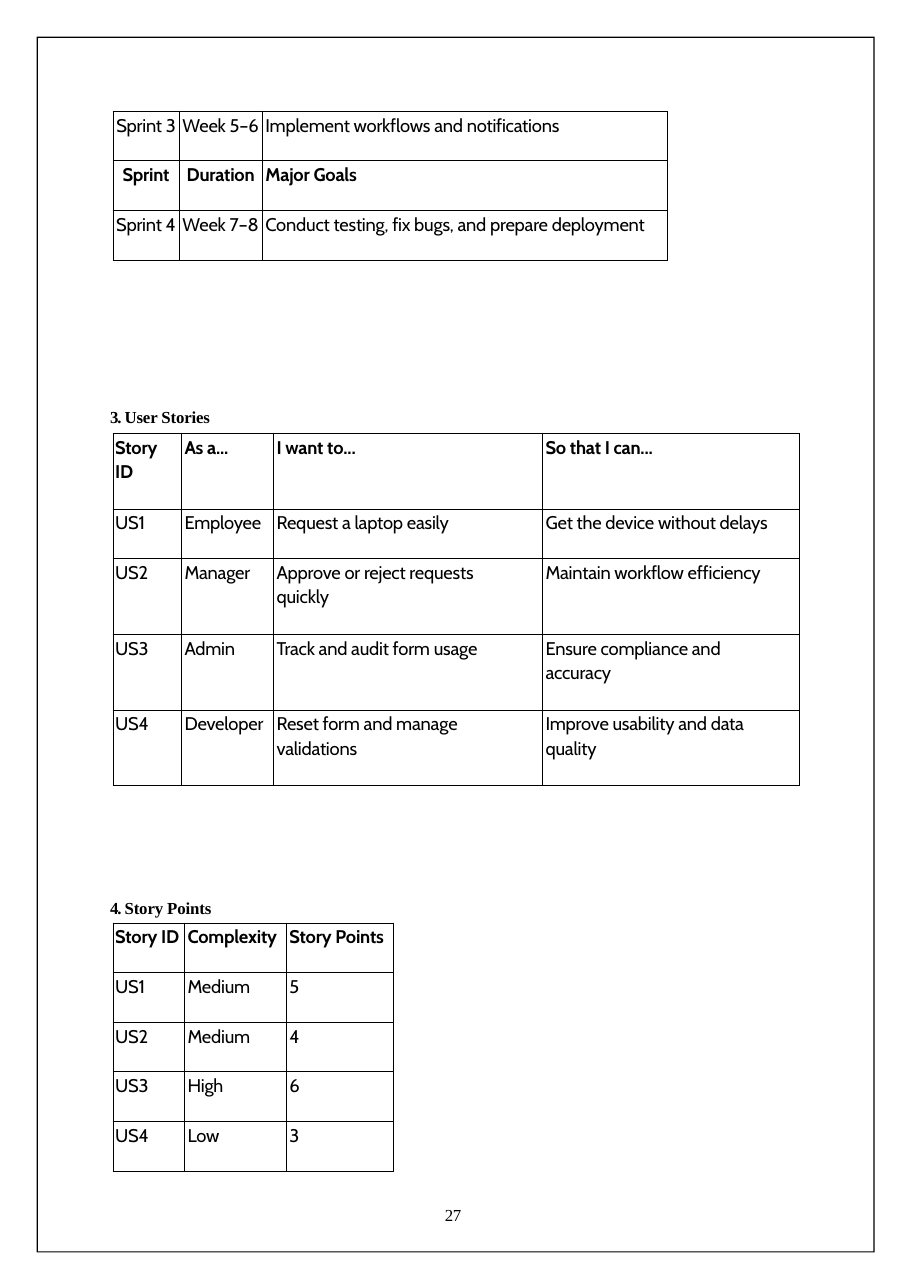
import pptx
import pptx.dml.color
import pptx.enum.text
import pptx.oxml.ns
import pptx.util
import lxml.etree

Pt = pptx.util.Pt
ALIGN = pptx.enum.text.PP_ALIGN

# Content
SPRINTS = [
    ("Sprint 3", "Week 5–6", "Implement workflows and notifications"),
    ("Sprint", "Duration", "Major Goals"),
    ("Sprint 4", "Week 7–8", "Conduct testing, fix bugs, and prepare deployment"),
]
USER_STORIES = [
    ("Story ID", "As a...", "I want to...", "So that I can..."),
    ("US1", "Employee", "Request a laptop easily", "Get the device without delays"),
    ("US2", "Manager", "Approve or reject requests quickly", "Maintain workflow efficiency"),
    ("US3", "Admin", "Track and audit form usage", "Ensure compliance and accuracy"),
    ("US4", "Developer", "Reset form and manage validations",
     "Improve usability and data quality"),
]
STORY_POINTS = [
    ("Story ID", "Complexity", "Story Points"),
    ("US1", "Medium", "5"),
    ("US2", "Medium", "4"),
    ("US3", "High", "6"),
    ("US4", "Low", "3"),
]
HEADINGS = [(("3. ", "User Stories"), 265), (("4. ", "Story Points"), 585.5)]
PAGE_NUMBER = "27"

# Theme and layout, in points
THEME = {
    "ink": pptx.dml.color.RGBColor(0, 0, 0),
    "table_font": "Cabin", "table_size": 12,
    "text_font": "Times New Roman", "text_size": 11,
    "border": 0.5, "frame": 0.75,
}
PAGE = (594.72, 841.68)
FRAME = (24, 24, 571.5, 818.5)
TABLE_LEFT = 73.8
ROW, TALL_ROW = 32.4, 49.5

# Right inset of the cells that run over two lines, by (row, column)
TWO_LINE = {(0, 0): 10, (2, 2): 20, (3, 3): 20, (4, 2): 20, (4, 3): 20}

TABLES = [
    dict(rows=SPRINTS, top=72.7, widths=(43.3, 54.2, 265), header=1, centred=(0, 1)),
    dict(rows=USER_STORIES, top=283.1, widths=(44.6, 60.2, 175.8, 168),
         header=0, two_line=TWO_LINE),
    dict(rows=STORY_POINTS, top=603.2, widths=(46.6, 66.6, 70), header=0),
]


def add_run(p, text, font, size, bold=False, spacing=-0.15):
    r = p.add_run()
    r.text = text
    r.font.name = font
    r.font.size = Pt(size)
    r.font.bold = bold
    r.font.color.rgb = THEME["ink"]
    r.font._element.set("spc", str(round(spacing * 100)))


def add_borders(cell):
    tc_pr = cell._tc.get_or_add_tcPr()
    qn = pptx.oxml.ns.qn
    for i, side in enumerate(("lnL", "lnR", "lnT", "lnB")):
        ln = lxml.etree.Element(qn("a:" + side), w=str(Pt(THEME["border"])))
        fill = lxml.etree.SubElement(ln, qn("a:solidFill"))
        lxml.etree.SubElement(fill, qn("a:srgbClr"), val=str(THEME["ink"]))
        tc_pr.insert(i, ln)


def add_table(s, rows, top, widths, header, centred=(), two_line=None):
    two_line = two_line or {}
    tall = {row for row, _ in two_line}
    heights = [TALL_ROW if i in tall else ROW for i in range(len(rows))]
    table = s.shapes.add_table(len(rows), len(widths), Pt(TABLE_LEFT), Pt(top),
                               Pt(sum(widths)), Pt(sum(heights))).table
    table.first_row = table.horz_banding = False
    for column, width in zip(table.columns, widths):
        column.width = Pt(width)
    for i, (row, height) in enumerate(zip(rows, heights)):
        table.rows[i].height = Pt(height)
        for j, text in enumerate(row):
            cell = table.cell(i, j)
            wraps = (i, j) in two_line
            cell.fill.background()
            add_borders(cell)
            cell.margin_left = Pt(0 if j in centred else 2.2 if j else 1.5)
            cell.margin_right = Pt(two_line.get((i, j), 0))
            cell.margin_top = Pt(0.7 if wraps else 2)
            cell.margin_bottom = 0
            p = cell.text_frame.paragraphs[0]
            p.alignment = ALIGN.CENTER if j in centred else ALIGN.LEFT
            p.space_before = Pt(0.7 if wraps else 2)
            if wraps:
                p.line_spacing = 1.09
            add_run(p, text, THEME["table_font"], THEME["table_size"], i == header)


def add_text(s, left, top, width, height, runs, inset=0, bold=False):
    tf = s.shapes.add_textbox(Pt(left), Pt(top), Pt(width), Pt(height)).text_frame
    tf.word_wrap = True
    tf.margin_left = tf.margin_right = tf.margin_bottom = 0
    tf.margin_top = Pt(inset)
    p = tf.paragraphs[0]
    p.space_before = Pt(inset)
    for text, spacing in runs:
        add_run(p, text, THEME["text_font"], THEME["text_size"], bold, spacing)


def add_frame(s):
    left, top, right, bottom = FRAME
    contours = []
    for d in (0, THEME["frame"]):
        contours.append([(Pt(x), Pt(y)) for x, y in (
            (left + d, top + d), (right - d, top + d),
            (right - d, bottom - d), (left + d, bottom - d))])
    outer, inner = contours
    inner = [inner[0]] + inner[:0:-1]
    fb = s.shapes.build_freeform(*outer[0])
    fb.add_line_segments(outer[1:], close=True)
    fb.move_to(*inner[0])
    fb.add_line_segments(inner[1:], close=True)
    sp = fb.convert_to_shape()
    sp.shadow.inherit = False
    sp.fill.solid()
    sp.fill.fore_color.rgb = THEME["ink"]
    sp.line.fill.background()


def main():
    prs = pptx.Presentation()
    prs.slide_width, prs.slide_height = Pt(PAGE[0]), Pt(PAGE[1])
    s = prs.slides.add_slide(prs.slide_layouts[6])

    # Page frame
    add_frame(s)

    # Tables
    for table in TABLES:
        add_table(s, **table)

    # Headings and page number
    for (number, title), top in HEADINGS:
        add_text(s, 72, top, 81, 14.4, [(number, -0.8), (title, -0.1)], 1, True)
    add_text(s, 290.7, 787, 18, 13.7, [(PAGE_NUMBER, -0.2)])

    prs.save("out.pptx")


if __name__ == "__main__":
    main()
